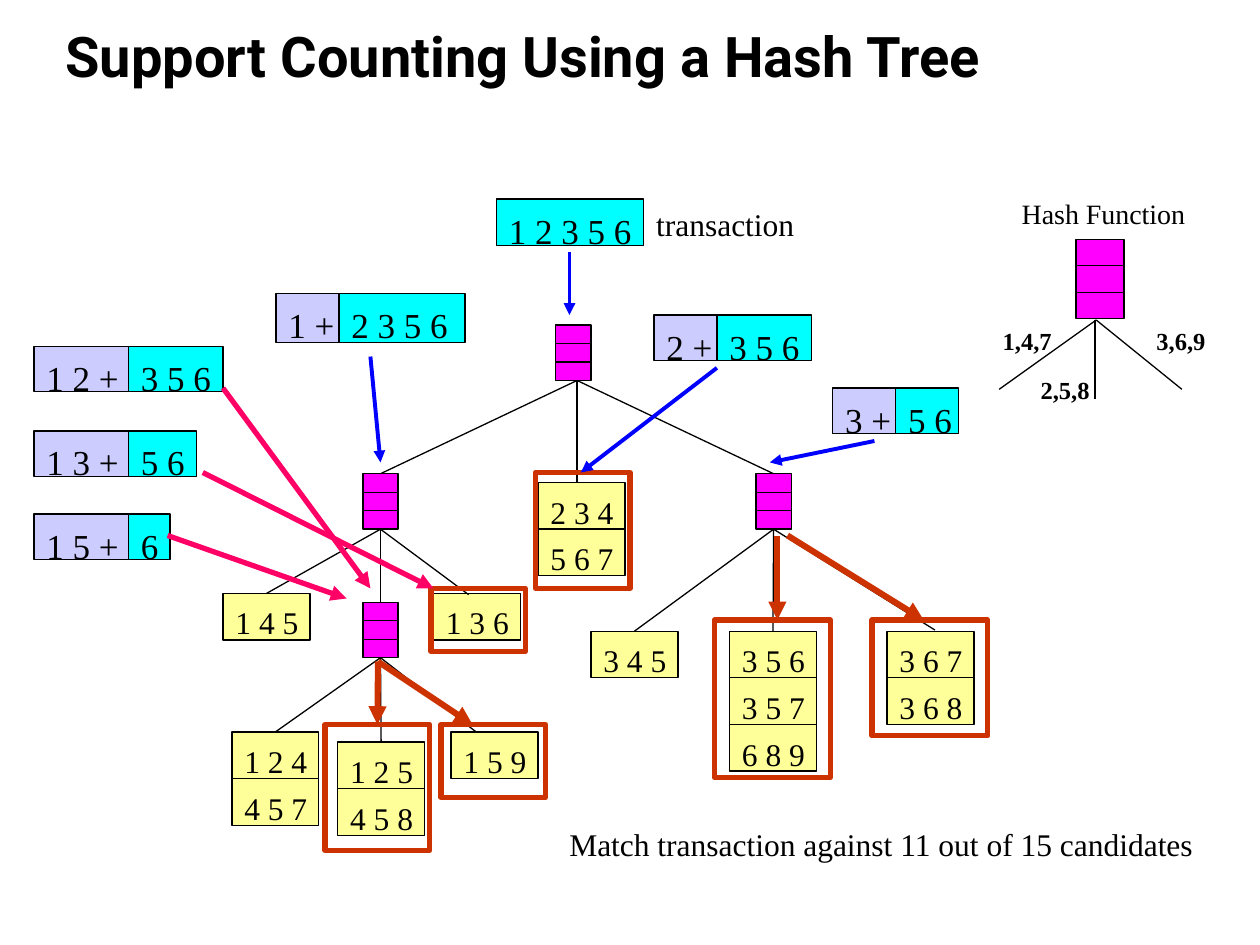
from dataclasses import dataclass
from typing import Optional

import lxml.etree
import pptx
import pptx.dml.color
import pptx.enum.shapes
import pptx.enum.text
import pptx.oxml.ns
import pptx.util

COLUMNS, ROWS = 100, 75
SLIDE_WIDTH, SLIDE_HEIGHT = pptx.util.Inches(10), pptx.util.Inches(7.5)
SERIF, SANS = "Times New Roman", "Roboto"
BLACK, BLUE, PINK, RUST = "000000", "0000FF", "FF0066", "CC3300"
MAGENTA, YELLOW, CYAN, LILAC = "FF00FF", "FFFF99", "00FFFF", "CCCCFF"
LEAF_WIDTH, LEAF_HEIGHT = 6.9, 3.7
Point = tuple[float, float]


@dataclass
class Node:
    name: str
    left: float
    top: float
    width: float = 2.8
    height: float = 4.4


@dataclass
class Leaf:
    left: float
    top: float
    items: list[str]


@dataclass
class Split:
    left: float
    top: float
    prefix: str
    prefix_width: float
    suffix: str
    suffix_width: float
    height: float = 3.6


@dataclass
class Edge:
    start: Point
    end: Point
    parent: Optional[str] = None
    child: Optional[str] = None


@dataclass
class Arrow:
    start: Point
    end: Point
    color: str
    weight: float
    target: Optional[str] = None


@dataclass
class Label:
    text: str
    left: float
    top: float
    width: float
    height: float
    size: int
    bold: bool = False


NODES = [
    Node("root", 44.1, 25.8), Node("left", 28.8, 37.6), Node("right", 60, 37.6),
    Node("lower", 28.8, 47.8), Node("hash", 85.4, 19, 3.8, 6.3),
]
LEAVES = [
    Leaf(35.8, 58.1, ["1 5 9"]), Leaf(17.7, 47.1, ["1 4 5"]),
    Leaf(34.4, 47.1, ["1 3 6"]), Leaf(46.9, 50.1, ["3 4 5"]),
    Leaf(70.4, 50.1, ["3 6 7", "3 6 8"]),
    Leaf(57.9, 50.1, ["3 5 6", "3 5 7", "6 8 9"]),
    Leaf(42.7, 38.3, ["2 3 4", "5 6 7"]),
    Leaf(18.4, 58.1, ["1 2 4", "4 5 7"]),
    Leaf(26.8, 58.9, ["1 2 5", "4 5 8"]),
]
EDGES = [
    Edge((45.8, 30.2), (30.2, 37.6), child="left"),
    Edge((45.8, 30.2), (45.8, 38.3)),
    Edge((45.8, 30.2), (61.4, 37.6), child="right"),
    Edge((30.1, 42), (21.2, 47.1), "left", "1 4 5"),
    Edge((30.1, 42), (30.1, 47.8), "left", "lower"),
    Edge((30.1, 42), (37.2, 47.2), "left"),
    Edge((61.4, 42), (50.3, 50.1), "right", "3 4 5"),
    Edge((61.4, 42), (61.4, 50.1), "right", "3 5 6"),
    Edge((61.4, 42), (74.2, 50), "right"),
    Edge((30.2, 52.3), (21.9, 58.1), "lower", "1 2 4"),
    Edge((30.2, 52.3), (30.2, 58.9), "lower", "1 2 5"),
    Edge((30.2, 52.3), (37.8, 58.1), "lower"),
    Edge((87, 25.4), (79.3, 30.9)),
    Edge((86.9, 25.4), (86.9, 31.7)),
    Edge((87, 25.4), (93.8, 30.9)),
]
SPLITS = [
    Split(10.2 - 7.5, 27.5, "1 2 +", 7.5, "3 5 6", 7.5),
    Split(10.2 - 7.5, 34.2, "1 3 +", 7.5, "5 6", 5.4),
    Split(10.2 - 7.5, 40.8, "1 5 +", 7.5, "6", 3.3),
    Split(51.9, 25, "2 +", 5, "3 5 6", 7.5),
    Split(66.1, 30.8, "3 +", 5, "5 6", 5),
    Split(21.9, 23.3, "1 +", 5, "2 3 5 6", 10, 3.9),
]
FRAMES = {
    "1 2 5": (25.8, 57.5, 8.3, 10), "1 5 9": (35, 57.5, 8.3, 5.8),
    "2 3 4": (42.5, 37.5, 7.5, 9.2), "1 3 6": (34.2, 46.7, 7.5, 5),
    "3 5 6": (56.7, 49.2, 9.2, 12.5), "3 6 7": (69.2, 49.2, 9.2, 9.2),
}
ARROWS = [
    Arrow((45.2, 20), (45.2, 25), BLUE, 2.25),
    Arrow((29.4, 28.3), (30.2, 36.7), BLUE, 2.25),
    Arrow((56.9, 29.2), (46.1, 37.5), BLUE, 2.25),
    Arrow((69.4, 35), (61.1, 36.7), BLUE, 2.25),
    Arrow((17.7, 30.8), (29.4, 46.7), PINK, 3),
    Arrow((13.3, 42.5), (27.5, 47.5), PINK, 3),
    Arrow((16.1, 37.5), (34.4, 46.7), PINK, 3),
    Arrow((30, 52.5), (30, 57.5), RUST, 3.5, "1 2 5"),
    Arrow((30, 52.5), (37.5, 57.5), RUST, 3.5),
    Arrow((61.7, 42.5), (61.7, 49.2), RUST, 3.5),
    Arrow((62.5, 42.5), (73.3, 49.2), RUST, 3.5),
]
LABELS = [
    Label("Hash Function", 80.1, 15.1, 15.1, 3.7, 16),
    Label("1,4,7", 78.6, 25.4, 5.9, 3.3, 14, True),
    Label("2,5,8", 81.6, 29.3, 5.9, 3.3, 14, True),
    Label("3,6,9", 90.8, 25.4, 5.9, 3.3, 14, True),
    Label("transaction", 51.1, 15.8, 13, 4, 18),
    Label("Match transaction against 11 out of 15 candidates", 44.2, 65, 52.6, 4, 18),
]


def across(columns: float) -> int:
    return round(SLIDE_WIDTH * columns / COLUMNS)


def down(rows: float) -> int:
    return round(SLIDE_HEIGHT * rows / ROWS)


def rgb(color: str) -> pptx.dml.color.RGBColor:
    return pptx.dml.color.RGBColor.from_string(color)


def set_font(paragraph, size: int, name: str = SERIF, bold: bool = False) -> None:
    paragraph.font.name = name
    paragraph.font.size = pptx.util.Pt(size)
    paragraph.font.bold = bold
    paragraph.font.color.rgb = rgb(BLACK)


def add_box(slide, left: float, top: float, width: float, height: float,
            fill: Optional[str], line: str = BLACK, weight: float = 0.75):
    shape = slide.shapes.add_shape(pptx.enum.shapes.MSO_SHAPE.RECTANGLE,
                                   across(left), down(top), across(width), down(height))
    shape.shadow.inherit = False
    if fill:
        shape.fill.solid()
        shape.fill.fore_color.rgb = rgb(fill)
    else:
        shape.fill.background()
    shape.line.color.rgb = rgb(line)
    shape.line.width = pptx.util.Pt(weight)
    return shape


def add_item(slide, text: str, left: float, top: float, width: float, height: float,
             fill: str, size: int):
    shape = add_box(slide, left, top, width, height, fill)
    frame = shape.text_frame
    frame.word_wrap = True
    frame.vertical_anchor = pptx.enum.text.MSO_ANCHOR.TOP
    frame.margin_left, frame.margin_right = across(1), 0
    frame.margin_top, frame.margin_bottom = down(0.8), 0
    paragraph = frame.paragraphs[0]
    paragraph.text = text
    paragraph.alignment = pptx.enum.text.PP_ALIGN.LEFT
    set_font(paragraph, size)
    return shape


def add_line(slide, start: Point, end: Point, color: str = BLACK, weight: float = 0.75,
             arrow: bool = False):
    connector = slide.shapes.add_connector(
        pptx.enum.shapes.MSO_CONNECTOR.STRAIGHT,
        across(start[0]), down(start[1]), across(end[0]), down(end[1]))
    connector.line.color.rgb = rgb(color)
    connector.line.width = pptx.util.Pt(weight)
    qn = pptx.oxml.ns.qn
    if arrow:
        lxml.etree.SubElement(connector.line._get_or_add_ln(), qn("a:tailEnd"), type="triangle")
    lxml.etree.SubElement(connector._element.spPr, qn("a:effectLst"))
    return connector


def add_node(slide, node: Node):
    shape = add_box(slide, node.left, node.top, node.width, node.height, MAGENTA)
    for third in (1, 2):
        row = node.top + node.height * third / 3
        add_line(slide, (node.left, row), (node.left + node.width, row))
    return shape


def add_label(slide, label: Label, name: str = SERIF):
    shape = slide.shapes.add_textbox(across(label.left), down(label.top),
                                     across(label.width), down(label.height))
    shape.text_frame.word_wrap = False
    paragraph = shape.text_frame.paragraphs[0]
    paragraph.text = label.text
    set_font(paragraph, label.size, name, label.bold)
    return shape


def main() -> None:
    presentation = pptx.Presentation()
    presentation.slide_width, presentation.slide_height = SLIDE_WIDTH, SLIDE_HEIGHT
    slide = presentation.slides.add_slide(presentation.slide_layouts[6])

    title = add_label(slide, Label("Support Counting Using a Hash Tree",
                                   4.2, 1.7, 90.6, 5.8, 32, True), SANS)
    title.text_frame.word_wrap = True
    title.text_frame.vertical_anchor = pptx.enum.text.MSO_ANCHOR.BOTTOM
    title.text_frame.paragraphs[0].line_spacing = pptx.util.Pt(36)

    boxes = {node.name: add_node(slide, node) for node in NODES}
    for leaf in LEAVES:
        for index, item in enumerate(leaf.items):
            boxes[item] = add_item(slide, item, leaf.left, leaf.top + index * LEAF_HEIGHT,
                                   LEAF_WIDTH, LEAF_HEIGHT, YELLOW, 18)
    for edge in EDGES:
        connector = add_line(slide, edge.start, edge.end)
        if edge.parent:
            connector.begin_connect(boxes[edge.parent], 2)
        if edge.child:
            connector.end_connect(boxes[edge.child], 0)

    add_item(slide, "1 2 3 5 6", 39.4, 15.8, 11.7, 3.7, CYAN, 20)
    for split in SPLITS:
        add_item(slide, split.prefix, split.left, split.top,
                 split.prefix_width, split.height, LILAC, 20)
        add_item(slide, split.suffix, split.left + split.prefix_width, split.top,
                 split.suffix_width, split.height, CYAN, 20)
    for label in LABELS:
        add_label(slide, label)

    frames = {item: add_box(slide, *place, None, RUST, 3) for item, place in FRAMES.items()}
    for arrow in ARROWS:
        connector = add_line(slide, arrow.start, arrow.end, arrow.color, arrow.weight, True)
        if arrow.target:
            connector.end_connect(frames[arrow.target], 0)

    presentation.save("out.pptx")


if __name__ == "__main__":
    main()
